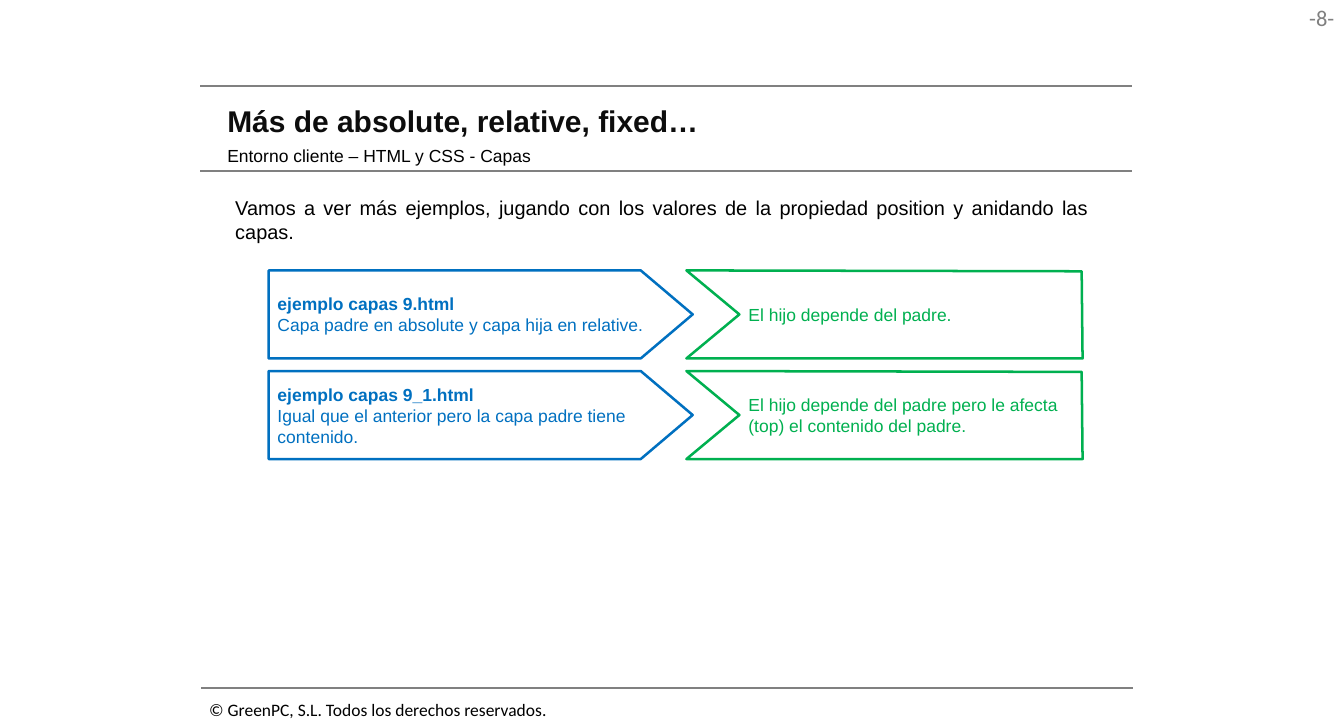
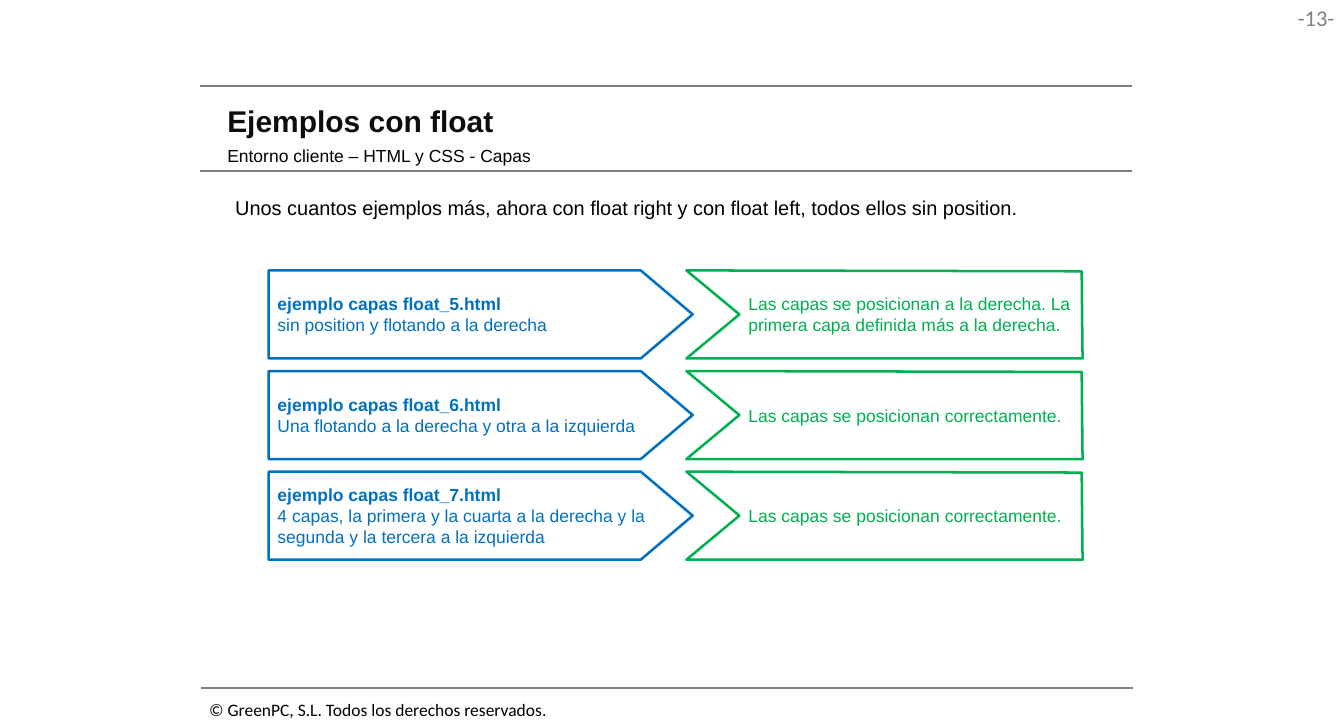
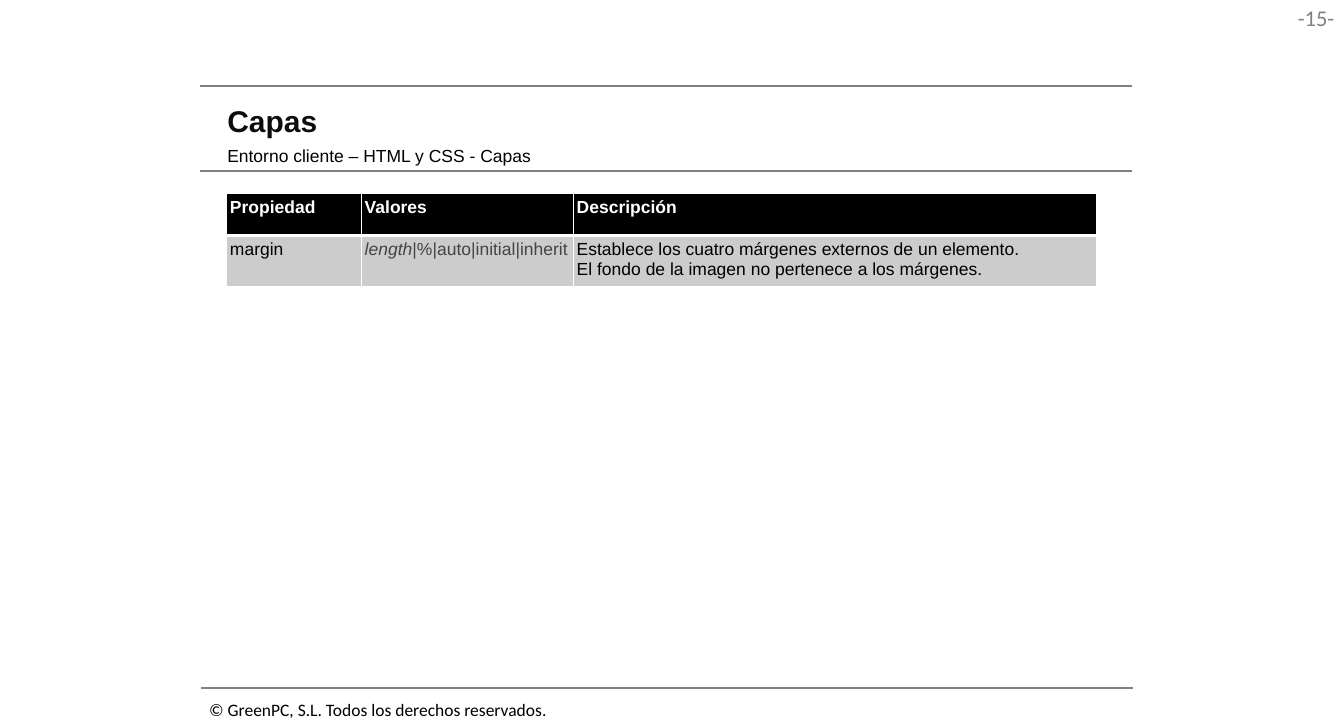
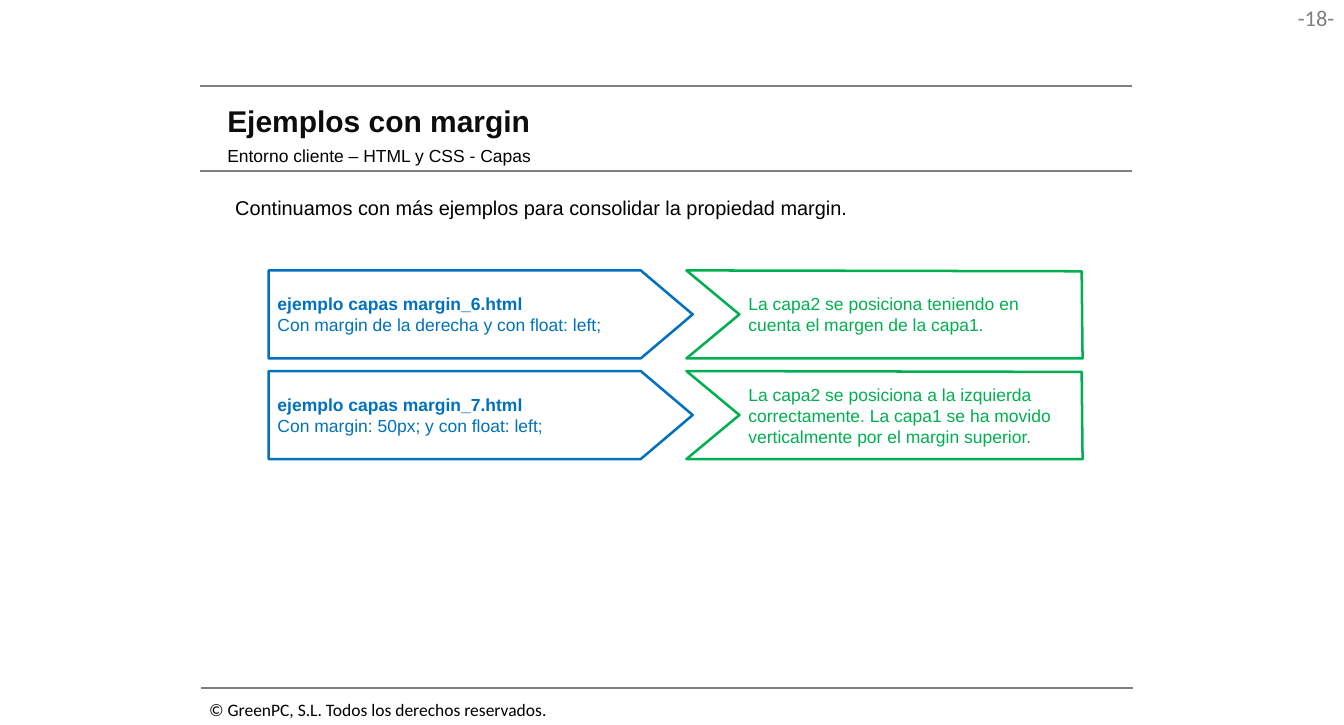
import pptx
import pptx.dml.color
import pptx.enum.shapes
import pptx.enum.text
import pptx.oxml
import pptx.oxml.ns
import pptx.util
from pptx.util import Inches

COLORS = {"title": "0D0D0D", "text": "000000", "rule": "808080", "example": "0070C0",
          "result": "00B050", "header": "000000", "row": "CCCCCC", "values": "444444",
          "white": "FFFFFF"}
SUBTITLE = "Entorno cliente – HTML y CSS - Capas"
COPYRIGHT = "© GreenPC, S.L. Todos los derechos reservados."
ALIGN = pptx.enum.text.PP_ALIGN
ANCHOR = pptx.enum.text.MSO_ANCHOR
SHAPE = pptx.enum.shapes.MSO_SHAPE

# Slide content: each example pairs a file, what it does and its result
SLIDES = [
    {"number": 8, "title": "Más de absolute, relative, fixed…",
     "intro": "Vamos a ver más ejemplos, jugando con los valores de la propiedad position "
              "y anidando las capas.",
     "intro_height": 0.64,
     "examples": [
         ("ejemplo capas 9.html", "Capa padre en absolute y capa hija en relative.",
          "El hijo depende del padre."),
         ("ejemplo capas 9_1.html", "Igual que el anterior pero la capa padre tiene contenido.",
          "El hijo depende del padre pero le afecta (top) el contenido del padre.")]},
    {"number": 13, "title": "Ejemplos con float",
     "intro": "Unos cuantos ejemplos más, ahora con float right y con float left, "
              "todos ellos sin position.",
     "intro_height": 0.37,
     "examples": [
         ("ejemplo capas float_5.html", "sin position y flotando a la derecha",
          "Las capas se posicionan a la derecha. La primera capa definida más a la derecha."),
         ("ejemplo capas float_6.html", "Una flotando a la derecha y otra a la izquierda",
          "Las capas se posicionan correctamente."),
         ("ejemplo capas float_7.html",
          "4 capas, la primera y la cuarta a la derecha y la segunda y la tercera a la izquierda",
          "Las capas se posicionan correctamente.")]},
    {"number": 15, "title": "Capas",
     "table": [
         [[[(name, {"bold": True, "color": "white"})]]
          for name in ("Propiedad", "Valores", "Descripción")],
         [[[("margin", {})]],
          [[("length", {"italic": True, "color": "values"}),
            ("|%|auto|initial|inherit", {"color": "values"})]],
          [[("Establece los cuatro márgenes externos de un elemento.", {})],
           [("El fondo de la imagen no pertenece a los márgenes.", {})]]]]},
    {"number": 18, "title": "Ejemplos con margin",
     "intro": "Continuamos con más ejemplos para consolidar la propiedad margin.",
     "intro_height": 0.37,
     "examples": [
         ("ejemplo capas margin_6.html", "Con margin de la derecha y con float: left;",
          "La capa2 se posiciona teniendo en cuenta el margen de la capa1."),
         ("ejemplo capas margin_7.html", "Con margin: 50px; y con float: left;",
          "La capa2 se posiciona a la izquierda correctamente. La capa1 se ha movido "
          "verticalmente por el margin superior.")]},
]


def rgb(name):
    return pptx.dml.color.RGBColor.from_string(COLORS[name])


def write(tf, paragraphs, align=ALIGN.LEFT, frame=None, **base):
    """Fill a text frame with paragraphs, each a list of (text, font format) runs."""
    for key, value in {"word_wrap": True, **(frame or {})}.items():
        setattr(tf, key, value)
    for i, runs in enumerate(paragraphs):
        p = tf.add_paragraph() if i else tf.paragraphs[0]
        p.alignment = align
        for text, changes in runs:
            r = p.add_run()
            r.text = text
            fmt = {"name": "Arial", "size": 14, "bold": False, "color": "text", **base, **changes}
            r.font.color.rgb = rgb(fmt.pop("color"))
            fmt["size"] = pptx.util.Pt(fmt["size"])
            for key, value in fmt.items():
                setattr(r.font, key, value)


prs = pptx.Presentation()
prs.slide_width, prs.slide_height = Inches(14.96), Inches(8.07)
heading_frame = {"vertical_anchor": ANCHOR.MIDDLE, "auto_size": pptx.enum.text.MSO_AUTO_SIZE.NONE,
                 "margin_left": Inches(0.13), "margin_right": Inches(0.13),
                 "margin_top": Inches(0.07), "margin_bottom": Inches(0.07)}

for content in SLIDES:
    s = prs.slides.add_slide(prs.slide_layouts[5])

    # Rules above and below the heading, and above the footer
    for x, y in ((2.23, 0.96), (2.23, 1.9), (2.24, 7.66)):
        rule = s.shapes.add_connector(pptx.enum.shapes.MSO_CONNECTOR.STRAIGHT,
                                      Inches(x), Inches(y), Inches(x + 10.37), Inches(y))
        rule.line.color.rgb = rgb("rule")
        rule.line.width = pptx.util.Pt(1.5)
        rule._element.spPr.append(pptx.oxml.parse_xml(
            f"<a:effectLst {pptx.oxml.ns.nsdecls('a')}/>"))

    # Title
    title = s.shapes.title
    title.left, title.top, title.width, title.height = map(Inches, (2.4, 1.07, 10.12, 0.54))
    write(title.text_frame, [[(content["title"], {})]], frame=heading_frame,
          size=24, bold=True, color="title")

    # Subtitle, page number, copyright line and introduction
    boxes = [
        ((2.4, 1.55, 7.6, 0.37), SUBTITLE, {"frame": heading_frame}),
        ((14.13, 0, 0.82, 0.41), f"-{content['number']}-",
         {"align": ALIGN.RIGHT, "name": "Calibri", "size": 18, "color": "rule"}),
        ((2.23, 7.73, 4.2, 0.34), COPYRIGHT, {"name": "Calibri"}),
    ]
    if "intro" in content:
        boxes.append(((2.52, 2.13, 9.69, content["intro_height"]), content["intro"],
                      {"align": ALIGN.JUSTIFY, "size": 16}))
    for place, text, fmt in boxes:
        box = s.shapes.add_textbox(*map(Inches, place))
        write(box.text_frame, [[(text, {})]], **fmt)

    # Examples: a pentagon on the left, its notched result on the right
    for i, (file_name, action, outcome) in enumerate(content.get("examples", [])):
        y = 3.01 + 1.12 * i
        example = s.shapes.add_shape(SHAPE.PENTAGON, Inches(2.99), Inches(y),
                                     Inches(4.72), Inches(0.98))
        example.adjustments[0] = 0.59
        outline = s.shapes.build_freeform(Inches(7.64), Inches(y))
        outline.add_line_segments([(Inches(px), Inches(y + dy)) for px, dy in
                                   ((12.04, 0.01), (12.05, 0.98), (7.64, 0.98), (8.23, 0.49))])
        result = outline.convert_to_shape()
        for sp, color, inset, paragraphs in (
                (example, "example", 0.1, [[(file_name, {"bold": True})], [(action, {})]]),
                (result, "result", 0.69, [[(outcome, {})]])):
            sp.shadow.inherit = False
            sp.fill.background()
            sp.line.color.rgb = rgb(color)
            sp.line.width = pptx.util.Pt(2)
            write(sp.text_frame, paragraphs, color=color,
                  frame={"vertical_anchor": ANCHOR.MIDDLE, "margin_left": Inches(inset)})

    # Property table
    if "table" in content:
        table = s.shapes.add_table(2, 3, Inches(2.52), Inches(2.15),
                                   Inches(9.69), Inches(1.02)).table
        for column, width in zip(table.columns, (1.5, 2.36, 5.83)):
            column.width = Inches(width)
        for i, (row, height, fill) in enumerate(zip(table.rows, (0.47, 0.55), ("header", "row"))):
            row.height = Inches(height)
            for cell, paragraphs in zip(row.cells, content["table"][i]):
                cell.margin_left = cell.margin_right = Inches(0.04)
                write(cell.text_frame, paragraphs)
                tc_pr = cell._tc.get_or_add_tcPr()
                heavy = "B" if i == 0 else "T"
                for side in "LRTB":
                    width = pptx.util.Pt(3 if side == heavy else 1)
                    tc_pr.append(pptx.oxml.parse_xml(
                        f"<a:ln{side} {pptx.oxml.ns.nsdecls('a')} w='{width}'><a:solidFill>"
                        f"<a:srgbClr val='{COLORS['white']}'/></a:solidFill></a:ln{side}>"))
                cell.fill.solid()
                cell.fill.fore_color.rgb = rgb(fill)

prs.save("out.pptx")
